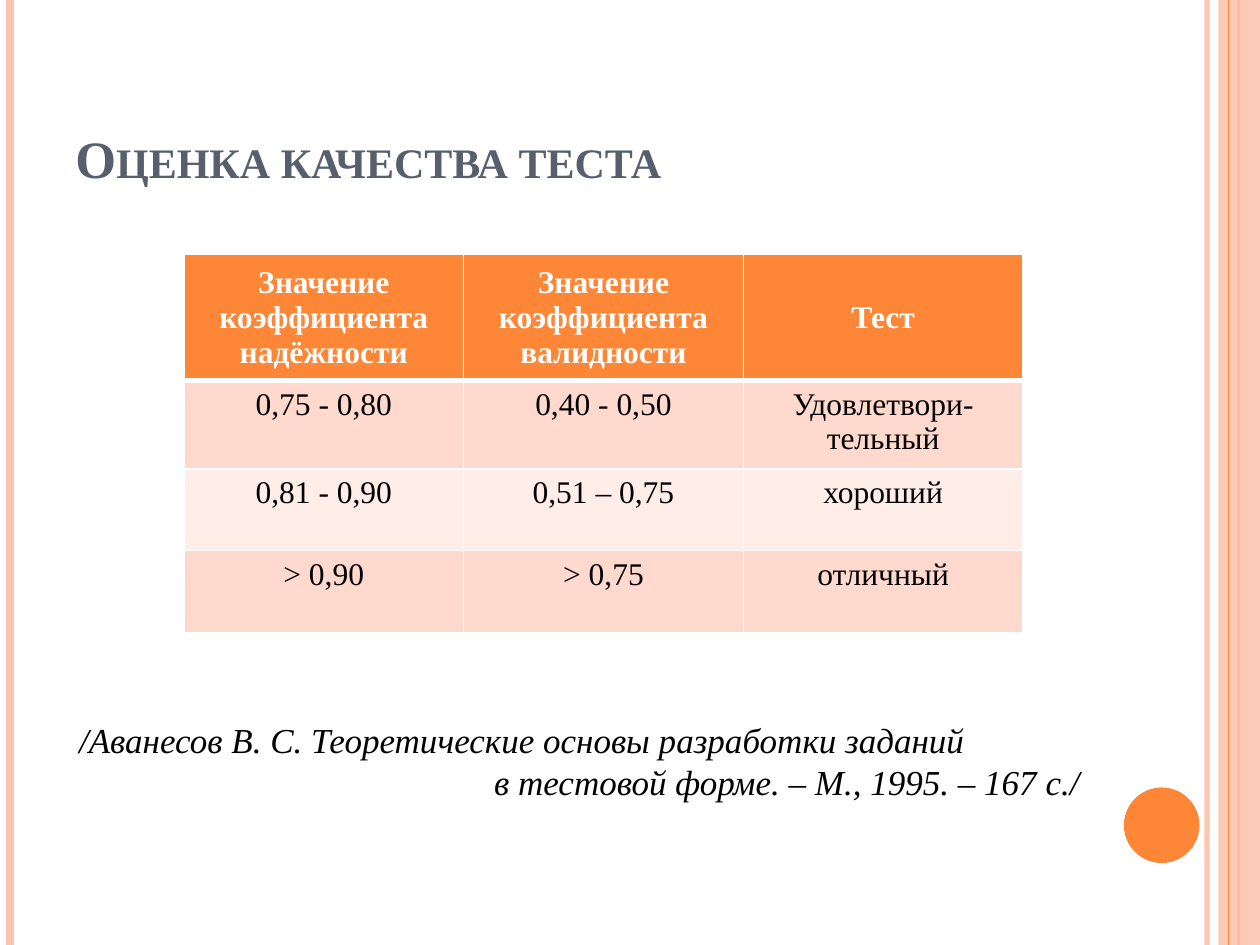
import pptx
import pptx.util
import pptx.dml.color
import pptx.enum.shapes
import pptx.enum.text
import pptx.oxml
import pptx.oxml.ns
from lxml import etree

Inches = pptx.util.Inches
Pt = pptx.util.Pt
ALIGN = pptx.enum.text.PP_ALIGN
ANCHOR = pptx.enum.text.MSO_ANCHOR
SHAPE = pptx.enum.shapes.MSO_SHAPE
qn = pptx.oxml.ns.qn


def color(value):
    return pptx.dml.color.RGBColor.from_string(value)


def write(frame, lines, align, **font_values):
    for i, line in enumerate(lines):
        paragraph = frame.paragraphs[0] if i == 0 else frame.add_paragraph()
        paragraph.alignment = align
        run = paragraph.add_run()
        run.text = line
        run.font.name = "Times New Roman"
        for name, value in font_values.items():
            if name == "color":
                run.font.color.rgb = color(value)
            else:
                setattr(run.font, name, value)


presentation = pptx.Presentation()
presentation.slide_width = Inches(10)
presentation.slide_height = Inches(7.5)
slide = presentation.slides.add_slide(presentation.slide_layouts[6])
shapes = slide.shapes

decor = [
    ("line", 9.58, "FEC3AE", 3, 93),
    ("line", 0.08, "FEC3AE", 4.5, 100),
    ("line", 9.83, "FE8637", 1.5, 100),
    (SHAPE.RECTANGLE, (9.67, 0, 0.33, 7.5), "FEC3AE", 0, 87),
    ("line", 9.75, "FE8637", 0.75, 100),
    (SHAPE.OVAL, (8.92, 6.25, 0.6, 0.6), "FE8637", 0, 100),
]
for kind, place, tint, width, opacity in decor:
    if kind == "line":
        part = shapes.add_connector(
            pptx.enum.shapes.MSO_CONNECTOR.STRAIGHT,
            Inches(place), Inches(0), Inches(place), Inches(7.5))
        part.line.color.rgb = color(tint)
        part.line.width = Pt(width)
        etree.SubElement(part._element.spPr, qn("a:effectLst"))
    else:
        part = shapes.add_shape(kind, *map(Inches, place))
        part.shadow.inherit = False
        part.fill.solid()
        part.fill.fore_color.rgb = color(tint)
        part.line.fill.background()
    if opacity < 100:
        paint = next(part._element.spPr.iter(qn("a:srgbClr")))
        etree.SubElement(paint, qn("a:alpha"), val=str(opacity * 1000))

title = shapes.add_textbox(Inches(0.5), Inches(0.3), Inches(8.17), Inches(1.25)).text_frame
title.word_wrap = True
title.vertical_anchor = ANCHOR.BOTTOM
write(title, ["Оценка качества теста"], ALIGN.LEFT, size=Pt(30), bold=True, color="575F6D")
title.paragraphs[0].runs[0].font._element.set("cap", "small")

citation = shapes.add_textbox(Inches(0.53), Inches(5.65), Inches(8.14), Inches(0.75)).text_frame
citation.word_wrap = True
write(citation,
      ["/Аванесов В. С. Теоретические основы разработки заданий",
       "в тестовой форме. – М., 1995. – 167 с./"],
      ALIGN.RIGHT, size=Pt(20), italic=True, color="000000")
citation.paragraphs[0].alignment = ALIGN.LEFT

ratings = [
    [["Значение коэффициента надёжности"], ["Значение коэффициента валидности"], ["Тест"]],
    [["0,75 - 0,80"], ["0,40 - 0,50"], ["Удовлетвори-", "тельный"]],
    [["0,81 - 0,90"], ["0,51 – 0,75"], ["хороший"]],
    [["> 0,90"], ["> 0,75"], ["отличный"]],
]
row_heights = [0.92, 0.66, 0.65, 0.65]
row_fills = ["FE8637", "FFD9CE", "FFEDE8", "FFD9CE"]
table = shapes.add_table(4, 3, Inches(1.46), Inches(2.02),
                         Inches(6.66), Inches(sum(row_heights))).table
for column in table.columns:
    column.width = Inches(2.22)
for r, row in enumerate(ratings):
    header = r == 0
    table.rows[r].height = Inches(row_heights[r])
    for c, lines in enumerate(row):
        cell = table.cell(r, c)
        cell.vertical_anchor = ANCHOR.MIDDLE if header else ANCHOR.TOP
        write(cell.text_frame, lines, ALIGN.CENTER, size=Pt(18), bold=header,
              color="FFFFFF" if header else "000000")
        cell.fill.solid()
        cell.fill.fore_color.rgb = color(row_fills[r])
        properties = cell._tc.get_or_add_tcPr()
        for i, side in enumerate(["lnL", "lnR", "lnT", "lnB"]):
            thick = (header and side == "lnB") or (r == 1 and side == "lnT")
            border = etree.Element(qn("a:" + side), w=str(Pt(3 if thick else 1)))
            solid = etree.SubElement(border, qn("a:solidFill"))
            etree.SubElement(solid, qn("a:srgbClr"), val="FFFFFF")
            properties.insert(i, border)

presentation.save("out.pptx")
